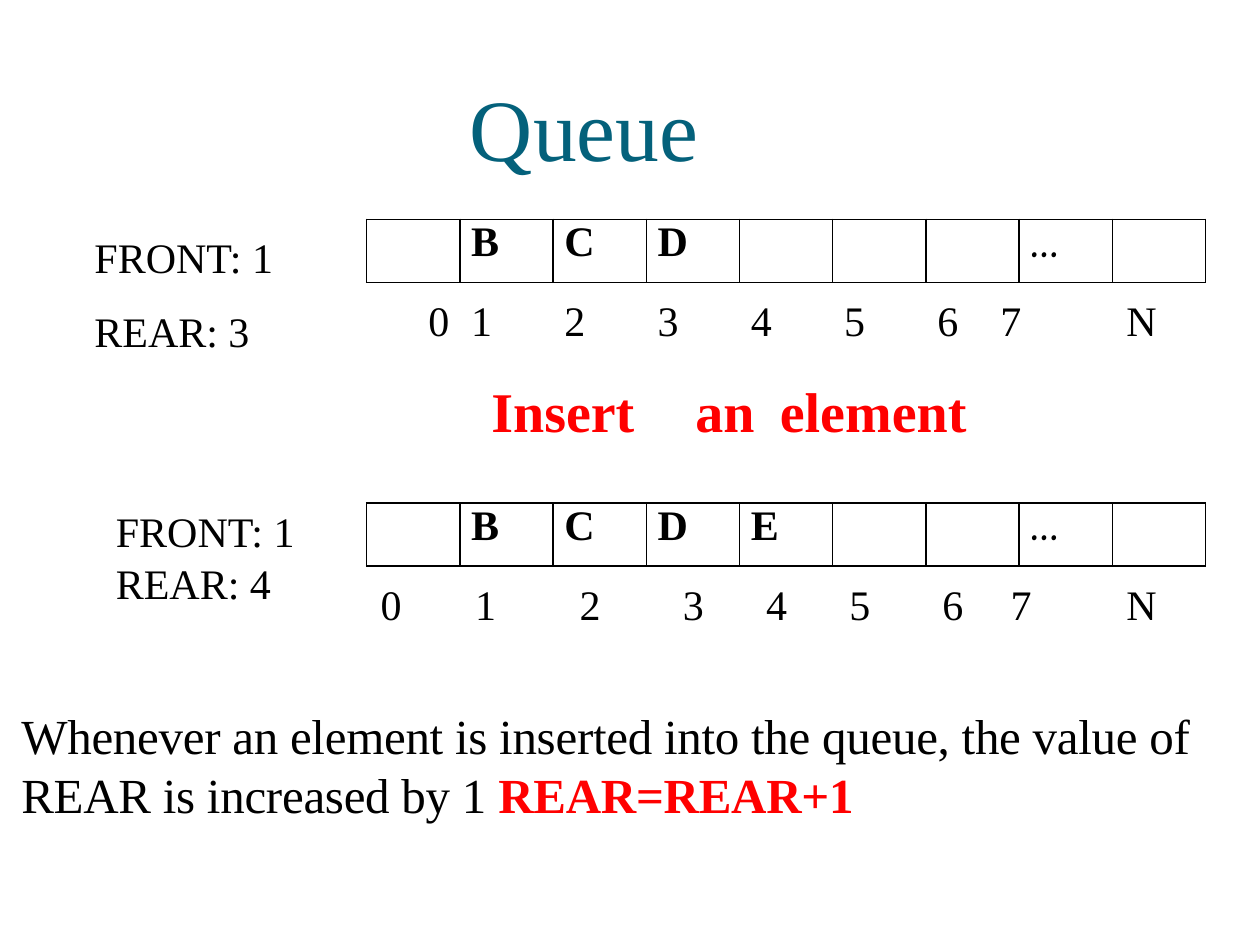
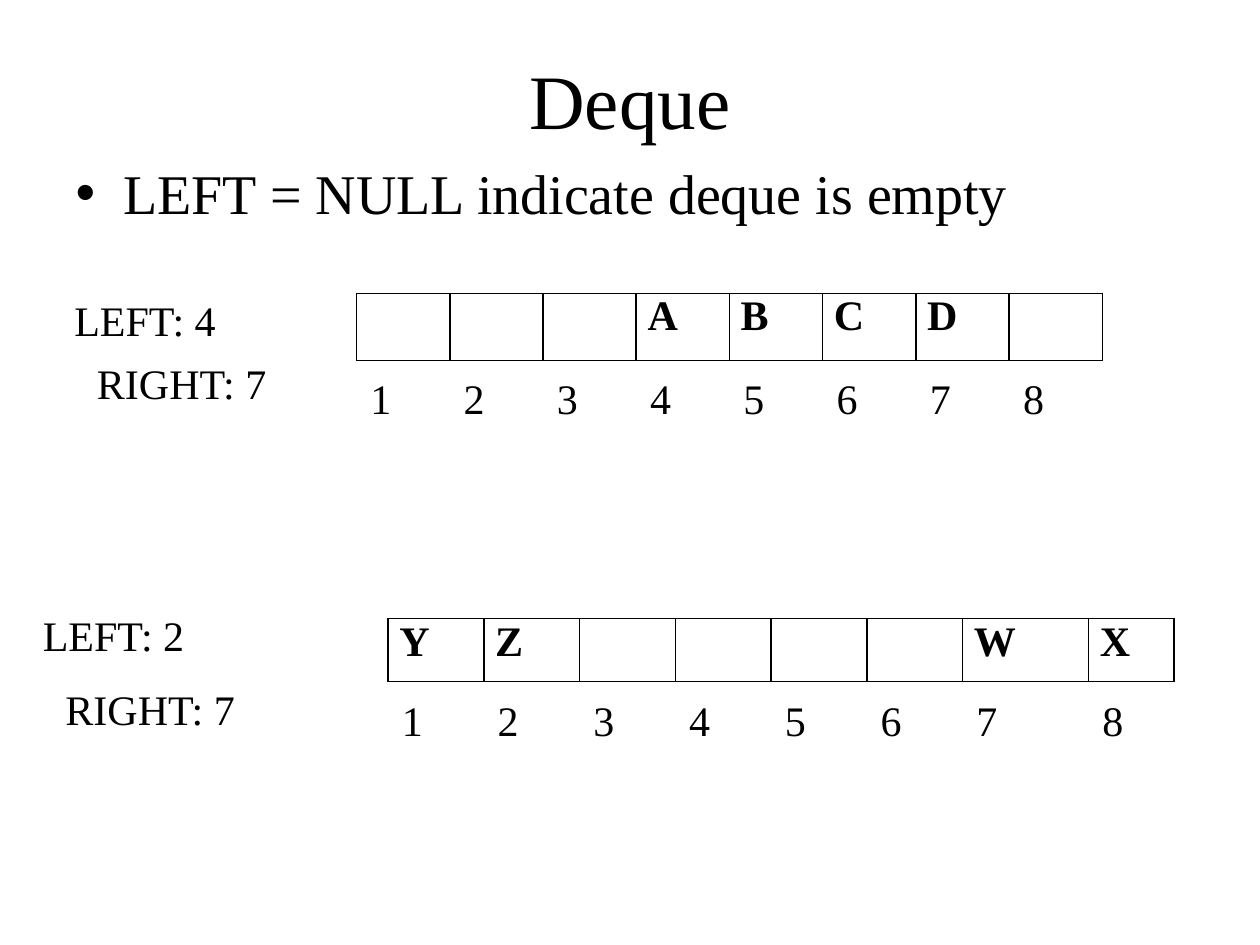
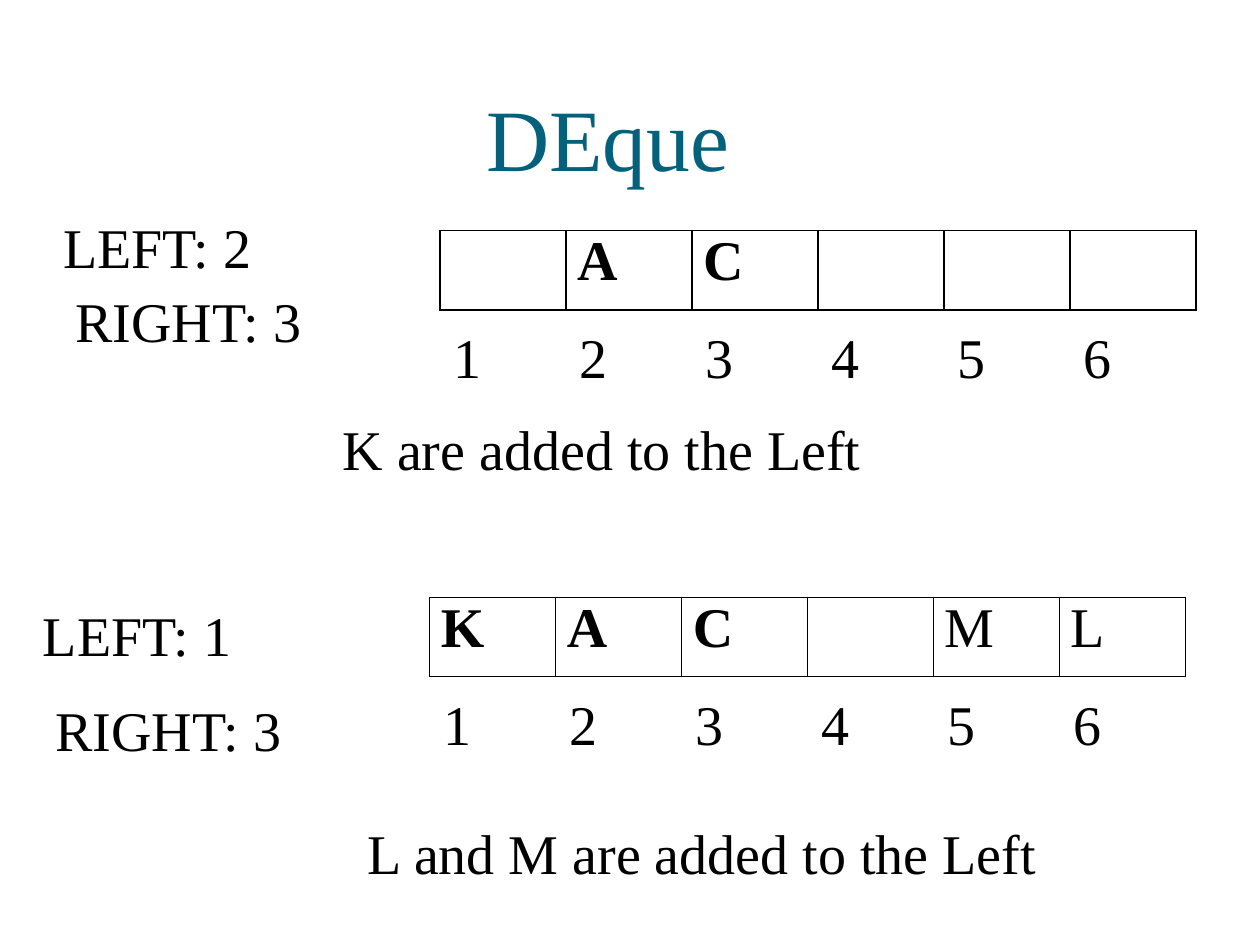
from itertools import accumulate

from lxml import etree
from pptx import Presentation
from pptx import util as u
from pptx.dml.color import RGBColor
from pptx.enum import text
from pptx.oxml import ns

FONT = "Times New Roman"
BLACK, RED, TEAL = "000000", "FF0000", "04617B"
TITLE_ONLY, TITLE_AND_BODY = 5, 1
COLUMNS, ROWS = 10, 7.5
CELL_PAD, LABEL_PAD, LABEL_GAP = 0.09, 0.11, 0.1

prs = Presentation()
prs.slide_width, prs.slide_height = u.Inches(10), u.Inches(7.5)


def box(x, y, w, h):
    """Turn grid columns and rows into left, top, width and height."""
    col, row = prs.slide_width / COLUMNS, prs.slide_height / ROWS
    return int(x * col), int(y * row), int(w * col), int(h * row)


def rgb(value):
    """Turn a hex string into a colour."""
    return RGBColor.from_string(value)


def style(font, size, color=BLACK, bold=False, name=FONT):
    """Set the look of a paragraph's or a run's font."""
    font.size, font.bold, font.name = u.Pt(size), bold, name
    font.color.rgb = rgb(color)


def indent(p, left, first=0):
    """Set the left margin and first-line indent of a paragraph."""
    pPr = p._p.get_or_add_pPr()
    pPr.set("marL", str(u.Inches(left)))
    pPr.set("indent", str(u.Inches(first)))


def set_tabs(p, stops):
    """Give a paragraph left tab stops."""
    tabs = etree.SubElement(p._p.get_or_add_pPr(), ns.qn("a:tabLst"))
    for stop in stops:
        etree.SubElement(tabs, ns.qn("a:tab"), pos=str(u.Inches(stop)), algn="l")


def bare_frame(sp, top=0):
    """Return a wrapping text frame without side margins."""
    tf = sp.text_frame
    tf.word_wrap, tf.auto_size = True, text.MSO_AUTO_SIZE.NONE
    tf.margin_left = tf.margin_right = tf.margin_bottom = 0
    tf.margin_top = u.Inches(top)
    return tf


def place(sp, area):
    """Move a placeholder to a grid area."""
    sp.left, sp.top, sp.width, sp.height = box(*area)


def add_title(slide, words, area, size=50, color=TEAL, left=None, top=0):
    """Fill the title, centred unless a left indent is given."""
    sp = slide.shapes.title
    place(sp, area)
    tf = bare_frame(sp, top)
    tf.vertical_anchor = text.MSO_ANCHOR.BOTTOM
    p = tf.paragraphs[0]
    p.text = words
    p.alignment = text.PP_ALIGN.CENTER if left is None else text.PP_ALIGN.LEFT
    indent(p, left or 0)
    style(p.font, size, color)


def add_bullet(slide, words, area):
    """Fill the body placeholder with one bullet."""
    sp = slide.placeholders[1]
    place(sp, area)
    p = bare_frame(sp).paragraphs[0]
    p.text, p.space_before = words, u.Pt(0)
    indent(p, 0.39, -0.38)
    style(p.font, 32)


def add_line(slide, words, area, size, color=BLACK, bold=False, stops=()):
    """Add a one-paragraph text box, with tab stops if any."""
    p = bare_frame(slide.shapes.add_textbox(*box(*area))).paragraphs[0]
    p.text = words
    if stops:
        set_tabs(p, stops)
    style(p.font, size, color, bold)


def add_pointers(slide, lines, area, size, gap, shift=0):
    """Add the two pointer values, the second one shifted right."""
    tf = bare_frame(slide.shapes.add_textbox(*box(*area)))
    tf.text = "\n".join(lines)
    first, second = tf.paragraphs
    second.space_before = u.Pt(gap)
    indent(second, shift)
    for p in (first, second):
        style(p.font, size)


def add_borders(cell):
    """Draw a thin black line on each side of a cell."""
    tcPr = cell._tc.get_or_add_tcPr()
    for side in ("lnL", "lnR", "lnT", "lnB"):
        ln = etree.SubElement(tcPr, ns.qn(f"a:{side}"), w=str(u.Pt(1)))
        fill = etree.SubElement(ln, ns.qn("a:solidFill"))
        etree.SubElement(fill, ns.qn("a:srgbClr"), val=BLACK)


def add_array(slide, x, y, cells, widths, height, labels, size=24, light="", offsets=None):
    """Draw an array as a table with its index labels below."""
    total = sum(widths)
    frame = slide.shapes.add_table(1, len(cells), *box(x, y, total, height))
    table = frame.table
    table.first_row = table.horz_banding = False
    for i, (word, width) in enumerate(zip(cells, widths)):
        table.columns[i].width = box(0, 0, width, 0)[2]
        cell = table.cell(0, i)
        cell.margin_left = u.Inches(CELL_PAD)
        cell.margin_right = cell.margin_top = cell.margin_bottom = 0
        add_borders(cell)
        cell.fill.background()
        p = cell.text_frame.paragraphs[0]
        p.text = word.strip()
        style(p.font, size, bold=word not in light, name="Comic Neue" if word == "…" else FONT)
    edges = accumulate(widths[:-1], initial=LABEL_PAD)
    start, *rest = offsets or edges
    add_line(slide, "\t".join(labels),
             (x + start, y + height + LABEL_GAP, total - start, size / 60), size,
             stops=[stop - start for stop in rest])


def queue_slide():
    """Build the slide on inserting into a queue."""
    slide = prs.slides.add_slide(prs.slide_layouts[TITLE_ONLY])
    add_title(slide, "Queue", (0.42, 0.28, 9, 1.14), left=3.31, top=0.3)
    add_pointers(slide, ("FRONT: 1", "REAR: 3"), (0.75, 1.84, 1.6, 0.99), 24, 13.2)
    add_pointers(slide, ("FRONT: 1", "REAR: 4"), (0.92, 4.01, 1.6, 0.82), 24, 1.2)
    before = (0.49, 0.83, 1.57, 2.31, 3.05, 3.79, 4.53, 5.03, 6.03)
    after = (0.11, 0.86, 1.69, 2.51, 3.17, 3.83, 4.57, 5.11, 6.03)
    for y, cells, offsets in ((1.74, " BCD   … ", before), (3.99, " BCDE  … ", after)):
        add_array(slide, 2.91, y, cells, [0.74] * 9, 0.5, "01234567N", offsets=offsets)
    add_line(slide, "Insert\tan\telement", (3.9, 2.99, 4.6, 0.54), 32, RED, True, (1.62, 2.29))
    p = bare_frame(slide.shapes.add_textbox(*box(0.17, 5.6, 9.67, 0.94))).paragraphs[0]
    rule = "Whenever an element is inserted into the queue, the value of REAR is increased by 1 "
    for words, color in ((rule, BLACK), ("REAR=REAR+1", RED)):
        r = p.add_run()
        r.text = words
        style(r.font, 28, color, color == RED)
        r._r.get_or_add_rPr().set("spc", "-15")


def empty_deque_slide():
    """Build the slide on the empty test and two deque states."""
    slide = prs.slides.add_slide(prs.slide_layouts[TITLE_AND_BODY])
    add_title(slide, "Deque", (0, 0.45, 10, 0.7), 44, BLACK)
    add_bullet(slide, "LEFT = NULL indicate deque is empty", (0.59, 1.26, 8.17, 0.58))
    add_pointers(slide, ("LEFT: 4", "RIGHT: 7"), (0.59, 2.34, 1.7, 0.91), 24, 7.2, 0.18)
    add_array(slide, 2.83, 2.33, "   ABCD ", [0.74] * 8, 0.53, "12345678")
    add_pointers(slide, ("LEFT: 2", "RIGHT: 7"), (0.34, 4.84, 1.7, 0.99), 24, 13.2, 0.18)
    add_array(slide, 3.08, 4.91, "YZ    WX", [0.76] * 6 + [1, 0.68], 0.5, "12345678")


def deque_insert_slide():
    """Build the slide on adding elements to a deque."""
    slide = prs.slides.add_slide(prs.slide_layouts[TITLE_ONLY])
    add_title(slide, "DEque", (0.5, 0.55, 9, 0.95), left=3.36, top=0.1)
    add_pointers(slide, ("LEFT: 2", "RIGHT: 3"), (0.5, 1.69, 2.12, 1.13), 32, 3.6, 0.1)
    add_pointers(slide, ("LEFT: 1", "RIGHT: 3"), (0.34, 4.77, 2.12, 1.3), 32, 15.6, 0.1)
    for x, y, cells in ((3.49, 1.83, " AC   "), (3.41, 4.74, "KAC ML")):
        add_array(slide, x, y, cells, [1] * 6, 0.63, "123456", 32, "ML")
    add_line(slide, "K are added to the Left", (2.72, 3.29, 6.86, 0.54), 32)
    add_line(slide, "L and M are added to the Left", (2.92, 6.5, 6.86, 0.54), 32)


def main():
    """Build and save the slides."""
    queue_slide()
    empty_deque_slide()
    deque_insert_slide()
    prs.save("out.pptx")


if __name__ == "__main__":
    main()
